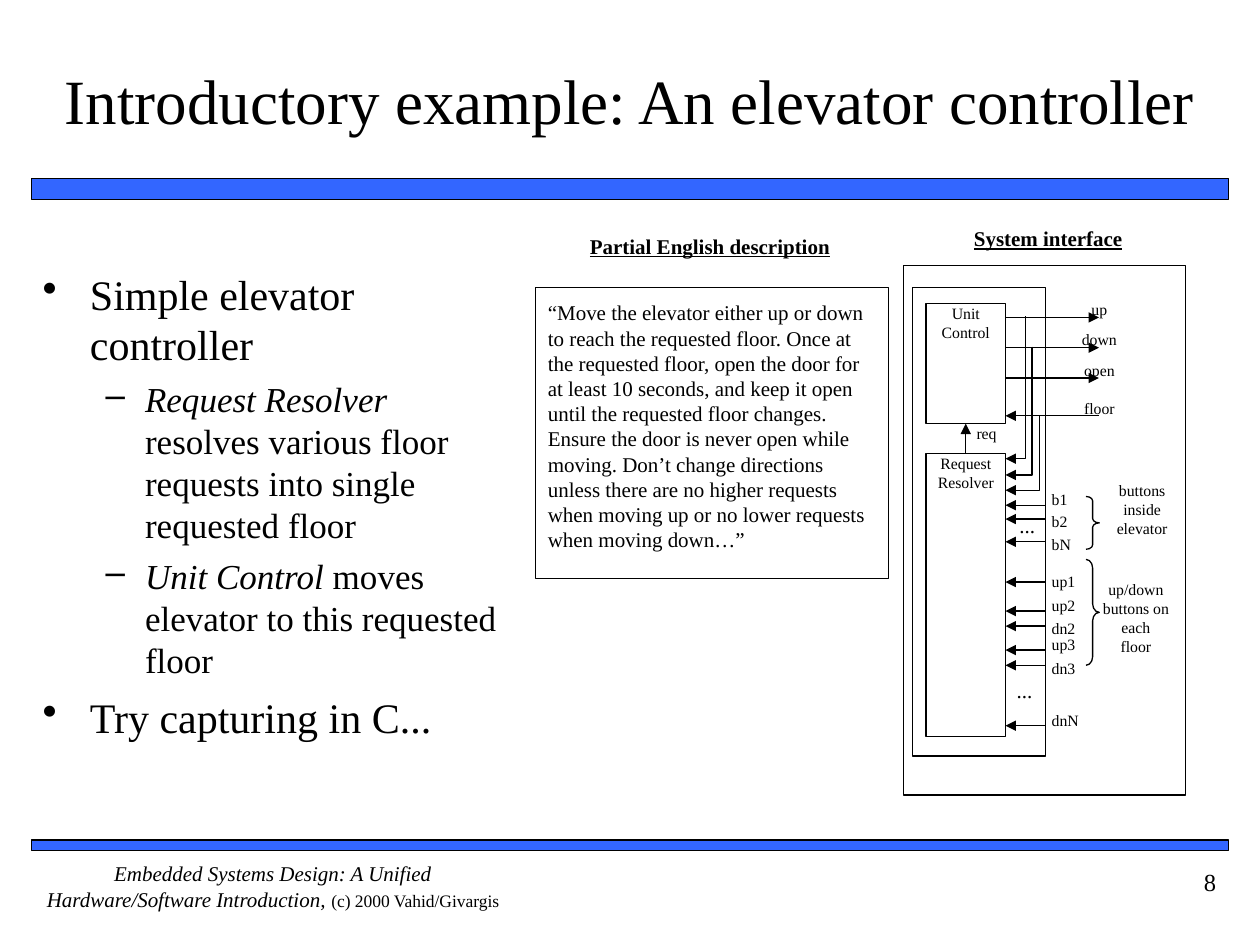
from lxml import etree
from pptx import Presentation
from pptx.dml.color import RGBColor
from pptx.enum.shapes import MSO_CONNECTOR, MSO_SHAPE
from pptx.enum.text import MSO_ANCHOR, PP_ALIGN
from pptx.oxml.ns import qn
from pptx.util import Pt

RECT, BRACE = MSO_SHAPE.RECTANGLE, MSO_SHAPE.RIGHT_BRACE
STRAIGHT = MSO_CONNECTOR.STRAIGHT
LEFT, CENTER, RIGHT = PP_ALIGN.LEFT, PP_ALIGN.CENTER, PP_ALIGN.RIGHT
TOP, MIDDLE = MSO_ANCHOR.TOP, MSO_ANCHOR.MIDDLE
BLACK = RGBColor(0, 0, 0)
WHITE = RGBColor(255, 255, 255)
BLUE = RGBColor(0x33, 0x66, 0xFF)
FONT = "Times New Roman"

# Content: a run is (text, style letters: b bold, i italic, u underline)
TITLE = "Introductory example: An elevator controller"
OUTLINE = [  # level, runs
    (0, [("Simple elevator controller", "")]),
    (1, [("Request Resolver", "i"),
         (" resolves various floor requests into single requested floor", "")]),
    (1, [("Unit Control", "i"), (" moves elevator to this requested floor", "")]),
    (0, [("Try capturing in C...", "")]),
]
LEVELS = [  # bullet, size, left margin, hanging indent, space before
    ("•", 24, 27, 27, 6),
    ("–", 20, 58.5, 22.5, 5),
]
DESCRIPTION = (
    "“Move the elevator either up or down to reach the requested floor. "
    "Once at the requested floor, open the door for at least 10 seconds, "
    "and keep it open until the requested floor changes. Ensure the door is "
    "never open while moving. Don’t change directions unless there are no "
    "higher requests when moving up or no lower requests when moving down…”"
)
HEADINGS = [
    ("Partial English description", (305.3, 133.2, 200.9, 26)),
    ("System interface", (545, 128.9, 108, 21.6)),
]
SIGNALS = [  # name, y, is an input
    ("up", 181.4, False), ("down", 198.7, False),
    ("open", 216, False), ("floor", 237.6, True),
]
FEEDBACK = [  # trunk x, start y, end y
    (586.1, 180.7, 262.1), (589.7, 198, 271.4), (594, 237.6, 280.1),
]
BUTTONS = [  # name, arrow y, label top
    ("b1", 288.7, 280.1), ("b2", 296.6, 292.3), ("bN", 309.6, 305.3),
    ("up1", 332.6, 326.9), ("up2", 349.2, 340.6), ("dn2", 357.8, 353.5),
    ("up3", 371.5, 362.9), ("dn3", 380.2, 376.6), ("dnN", 414.7, 406.1),
]
ELLIPSES = [(582.5, 293), (581, 387.4)]
GROUPS = [  # brace top, height, curve; label box, lines
    (283.7, 30.2, 0.33, (620.6, 275, 64.1, 38.9), ["buttons", "inside", "elevator"]),
    (319.7, 60.5, 0.64, (629.6, 331.2, 39, 60.5), ["up/down", "buttons on each", "floor"]),
]
BLOCK_LEFT, BLOCK_WIDTH = 529.2, 45.4
BLOCK_RIGHT = BLOCK_LEFT + BLOCK_WIDTH
SIGNAL_END, BUTTON_START = 628, 597

prs = Presentation()
prs.slide_width, prs.slide_height = Pt(720), Pt(540)
slide = prs.slides.add_slide(prs.slide_layouts[5])
shapes = slide.shapes


def add_runs(paragraph, runs, size):
    for text, style in runs:
        run = paragraph.add_run()
        run.text = text
        font = run.font
        font.name, font.size = FONT, Pt(size)
        font.color.rgb = BLACK
        font.bold, font.italic, font.underline = (s in style for s in "biu")


def set_frame(shape, margins=(0, 0), anchor=TOP):
    frame = shape.text_frame
    frame.word_wrap = True
    frame.vertical_anchor = anchor
    frame.margin_left = frame.margin_right = Pt(margins[0])
    frame.margin_top = frame.margin_bottom = Pt(margins[1])
    return frame


def write(shape, paragraphs, size, align=LEFT, margins=(0, 0), anchor=TOP):
    """Each paragraph is a plain string or a list of runs."""
    frame = set_frame(shape, margins, anchor)
    for i, content in enumerate(paragraphs):
        paragraph = frame.add_paragraph() if i else frame.paragraphs[0]
        paragraph.alignment = align
        add_runs(paragraph, [(content, "")] if isinstance(content, str) else content, size)


def add_label(box, paragraphs, size=9, align=LEFT, margins=(0, 0)):
    write(shapes.add_textbox(*map(Pt, box)), paragraphs, size, align, margins)


def outline(shape, fill=None, width=0.75):
    shape.shadow.inherit = False
    if fill is None:
        shape.fill.background()
    else:
        shape.fill.solid()
        shape.fill.fore_color.rgb = fill
    shape.line.color.rgb = BLACK
    shape.line.width = Pt(width)
    return shape


def add_box(box, fill=None, width=0.75, kind=RECT):
    return outline(shapes.add_shape(kind, *map(Pt, box)), fill, width)


def add_arrowhead(shape):
    line = shape.element.spPr.find(qn("a:ln"))
    etree.SubElement(line, qn("a:tailEnd"), type="triangle")


def add_arrow(x1, y1, x2, y2):
    arrow = shapes.add_connector(STRAIGHT, Pt(x1), Pt(y1), Pt(x2), Pt(y2))
    arrow.line.color.rgb = BLACK
    arrow.line.width = Pt(0.75)
    add_arrowhead(arrow)
    etree.SubElement(arrow.element.spPr, qn("a:effectLst"))
    return arrow


# Title, rules, footer and page number
title = shapes.title
title.left, title.top, title.width, title.height = map(Pt, (30, 12, 660, 90))
write(title, [TITLE], 36, CENTER, (0, 3.6), MIDDLE)
add_box((18, 102, 684, 12), BLUE, 1)
add_box((18, 480, 684, 6), BLUE, 1)
add_label((18, 492, 276, 36), [[]], align=CENTER)
footer = shapes[-1].text_frame.paragraphs[0]
add_runs(footer, [("Embedded Systems Design: A Unified Hardware/Software Introduction, ", "i")], 12)
add_runs(footer, [("(c) 2000 Vahid/Givargis", "")], 10)
add_label((630, 492, 72, 36), ["8"], 14, RIGHT, (7.2, 3.6))

# Bulleted outline
body = set_frame(shapes.add_textbox(Pt(17.3), Pt(149.8), Pt(274.3), Pt(278.6)), (7.2, 3.6))
for i, (level, runs) in enumerate(OUTLINE):
    bullet, size, margin, hanging, before = LEVELS[level]
    paragraph = body.add_paragraph() if i else body.paragraphs[0]
    paragraph.level = level
    props = paragraph._p.get_or_add_pPr()
    props.set("marL", str(Pt(margin)))
    props.set("indent", str(-Pt(hanging)))
    etree.SubElement(props, qn("a:buChar"), char=bullet)
    if i:
        paragraph.space_before = Pt(before)
    add_runs(paragraph, runs, size)

# Description and headings
write(add_box((306, 164.2, 201.6, 166.3), WHITE), [DESCRIPTION], 12, margins=(7.2, 7.2))
for heading, box in HEADINGS:
    add_label(box, [[(heading, "bu")]], 12, CENTER)

# System frames and blocks
add_box((516.2, 151.9, 161.3, 302.4))
add_box((521.3, 164.2, 76.3, 267.8))
unit = add_box((BLOCK_LEFT, 173.5, BLOCK_WIDTH, 68.6), WHITE)
write(unit, ["Unit", "Control"], 9, CENTER)
resolver = add_box((BLOCK_LEFT, 259.2, BLOCK_WIDTH, 161.6), WHITE)
write(resolver, ["Request", "Resolver"], 9, CENTER)
request = add_arrow(551.9, 259.2, 551.9, 242.1)
request.begin_connect(resolver, 0)
request.end_connect(unit, 2)
add_label((554.4, 241.9, 18.7, 13), ["req"], align=CENTER)

# Signals of the unit control, and their feedback to the resolver
for name, y, is_input in SIGNALS:
    start, end = (SIGNAL_END, BLOCK_RIGHT) if is_input else (BLOCK_RIGHT, SIGNAL_END)
    add_arrow(start, y, end, y)
    add_label((609.1, y - 10, 38.2, 17.3), [name], align=CENTER)
for x, start, end in FEEDBACK:
    trunk = shapes.build_freeform(Pt(x), Pt(start))
    trunk.add_line_segments([(Pt(x), Pt(end)), (Pt(BLOCK_RIGHT), Pt(end))], close=False)
    add_arrowhead(outline(trunk.convert_to_shape()))

# Request buttons and their groups
for name, y, label_top in BUTTONS:
    add_arrow(BUTTON_START, y, BLOCK_RIGHT, y)
    add_label((601, label_top, 19, 13), [name])
for x, y in ELLIPSES:
    add_label((x, y, 19, 13), ["..."], 12)
for top, height, curve, label_box, lines in GROUPS:
    brace = add_box((620.6, top, 7.6, height), kind=BRACE)
    brace.adjustments[0] = curve
    add_label(label_box, lines, align=CENTER)

prs.save("out.pptx")
